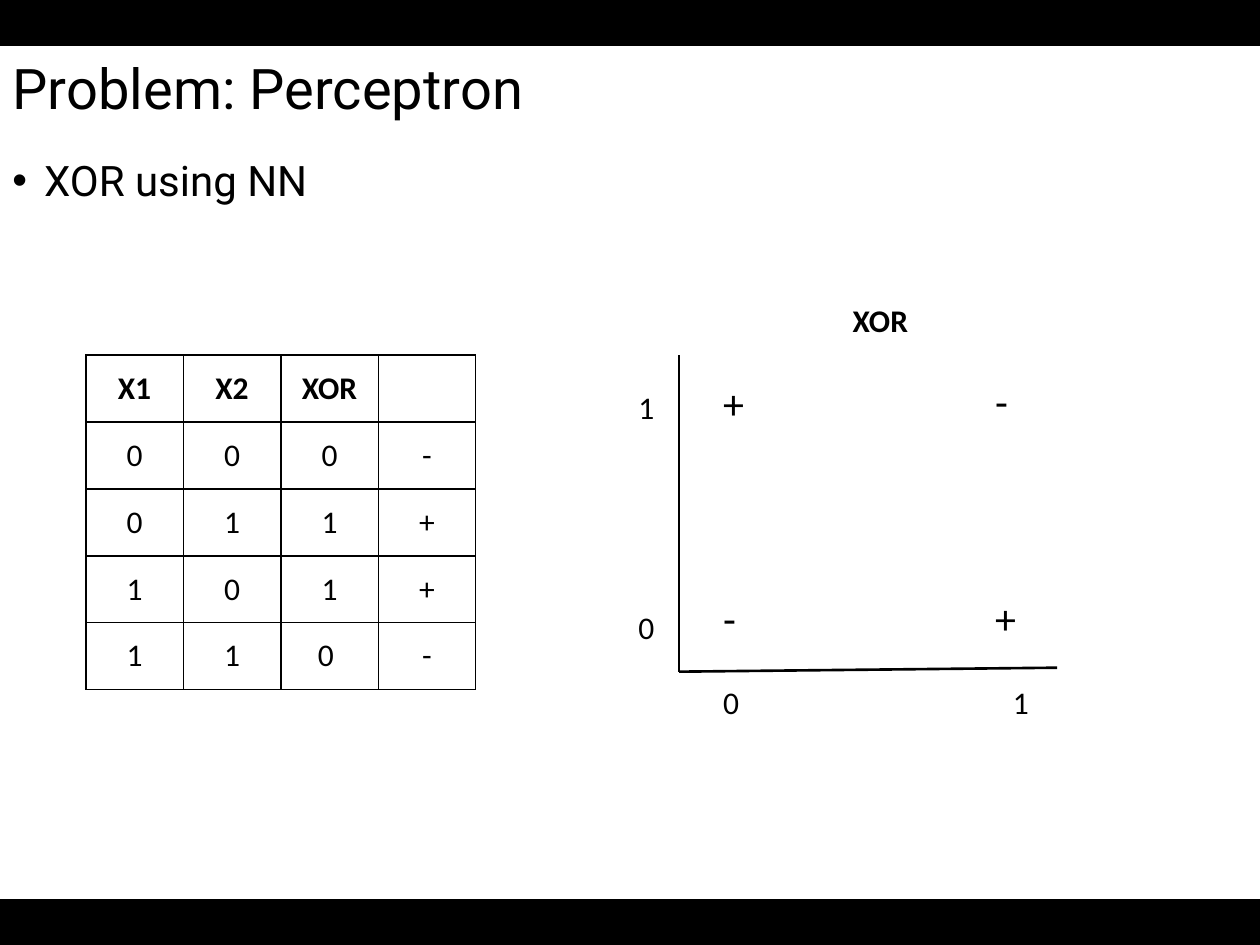
from lxml.etree import SubElement
from pptx import Presentation
from pptx.dml.color import RGBColor
from pptx.enum.shapes import MSO_CONNECTOR as Link, MSO_SHAPE as Shape
from pptx.enum.text import MSO_ANCHOR as Anchor, MSO_AUTO_SIZE as Fit, PP_ALIGN as Align
from pptx.oxml.ns import qn
from pptx.util import Cm, Pt

BLACK = RGBColor(0, 0, 0)
WIDE, HIGH = 25.4, 19.05
BAR = 0.91

ROWS = [
    ("X1", "X2", "XOR", ""),
    ("0", "0", "0", "-"),
    ("0", "1", "1", "+"),
    ("1", "0", "1", "+"),
    ("1", "1", "0 ", "-"),
]

# text, x, y, width, height, size, bold; x and y count from the plot's corner
LABELS = [
    ("0", 0.64, 6.48, 0.84, 1.02, 18, False),
    ("1", 6.48, 6.48, 0.84, 1.02, 18, False),
    ("0", -1.07, 4.98, 0.84, 1.02, 18, False),
    ("1", -1.07, 0.53, 0.84, 1.02, 18, False),
    ("XOR", 3.25, -1.22, 1.63, 1.02, 18, True),
    ("-", 0.64, 4.65, 0.79, 1.27, 24, False),
    ("+", 5.49 + 0.63, 4.65, 0.94, 1.27, 24, False),
    ("+", 0.64, 0.33, 0.94, 1.27, 24, False),
    ("-", 6.12, 0.28, 0.79, 1.27, 24, False),
]


def style(para, size, face="Calibri", bold=False):
    font = para.font
    font.name, font.size, font.bold = face, Pt(size), bold
    font.color.rgb = BLACK


def add_bar(slide, left, top, width, height):
    bar = slide.shapes.add_shape(Shape.RECTANGLE, Cm(left), Cm(top), Cm(width), Cm(height))
    bar.shadow.inherit = False
    bar.fill.solid()
    bar.fill.fore_color.rgb = BLACK
    bar.line.color.rgb = BLACK
    bar.line.width = Pt(1)


def set_title(slide, left, top, width, height):
    title = slide.shapes.title
    title.left, title.top, title.width, title.height = map(Cm, (left, top, width, height))
    frame = title.text_frame
    frame.text = "Problem: Perceptron"
    frame.vertical_anchor = Anchor.MIDDLE
    para = frame.paragraphs[0]
    para.alignment = Align.LEFT
    para.line_spacing = 0.9
    style(para, 32, "Roboto")


def add_body(slide, left, top, width, height):
    frame = slide.shapes.add_textbox(Cm(left), Cm(top), Cm(width), Cm(height)).text_frame
    frame.word_wrap = True
    para = frame.paragraphs[0]
    para.text = "XOR using NN"
    para.line_spacing = 0.9
    para.space_before = Pt(10)
    style(para, 24, "Roboto")
    props = para._p.get_or_add_pPr()
    props.set("marL", str(Cm(0.64)))
    props.set("indent", str(-Cm(0.64)))
    # the bullet elements must stand before the default run properties
    rest = props.find(qn("a:defRPr"))
    face = SubElement(props, qn("a:buFont"), typeface="Arial")
    mark = SubElement(props, qn("a:buChar"), char="•")
    if rest is not None:
        rest.addprevious(face)
        rest.addprevious(mark)


def add_borders(cell):
    props = cell._tc.get_or_add_tcPr()
    for spot, side in enumerate(("a:lnL", "a:lnR", "a:lnT", "a:lnB")):
        line = props.makeelement(qn(side), {"w": str(Pt(1))})
        fill = SubElement(line, qn("a:solidFill"))
        SubElement(fill, qn("a:srgbClr"), val=str(BLACK))
        props.insert(spot, line)


def add_truth(slide, left, top, width, height):
    """Draw the truth table of XOR."""
    table = slide.shapes.add_table(
        len(ROWS), len(ROWS[0]), Cm(left), Cm(top), Cm(width), Cm(height)).table
    table.first_row = table.horz_banding = False
    for r, row in enumerate(ROWS):
        for c, text in enumerate(row):
            cell = table.cell(r, c)
            cell.text = text
            cell.vertical_anchor = Anchor.MIDDLE
            cell.fill.background()
            para = cell.text_frame.paragraphs[0]
            para.alignment = Align.CENTER
            style(para, 18, bold=r == 0)
            add_borders(cell)


def add_axis(slide, *ends):
    axis = slide.shapes.add_connector(Link.STRAIGHT, *map(Cm, ends))
    axis.line.color.rgb = BLACK
    axis.line.width = Pt(1.5)
    SubElement(axis._element.spPr, qn("a:effectLst"))


def add_plot(slide, left, top, width, height):
    """Draw the XOR plane with its axes, ticks and signs."""
    base = top + height
    add_axis(slide, left, top, left, base)
    add_axis(slide, left + width, base - 0.08, left, base)
    for text, x, y, wide, high, size, bold in LABELS:
        box = slide.shapes.add_textbox(Cm(left + x), Cm(top + y), Cm(wide), Cm(high))
        frame = box.text_frame
        frame.word_wrap = False
        frame.auto_size = Fit.SHAPE_TO_FIT_TEXT
        frame.text = text
        style(frame.paragraphs[0], size, bold=bold)


def main():
    deck = Presentation()
    deck.slide_width, deck.slide_height = Cm(WIDE), Cm(HIGH)
    slide = deck.slides.add_slide(deck.slide_layouts[5])
    for top in (0, HIGH - BAR):
        add_bar(slide, 0, top, WIDE, BAR)
    set_title(slide, 0, 1.02, WIDE, 1.63)
    add_body(slide, 0, 3.1, WIDE, 15.04)
    add_truth(slide, 1.73, 7.16, 7.86, 6.74)
    add_plot(slide, 13.69, 7.16, 7.62, 6.38)
    deck.save("out.pptx")


if __name__ == "__main__":
    main()
